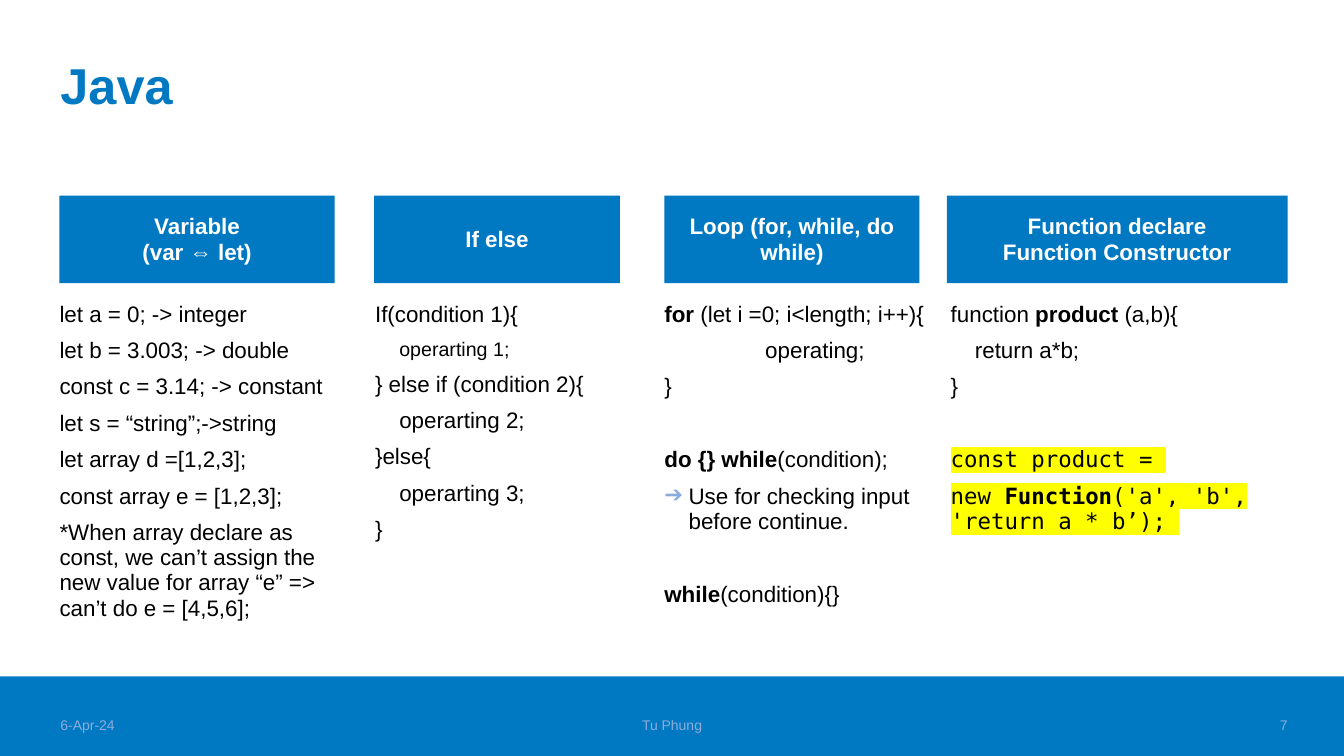
from dataclasses import dataclass

from lxml.etree import SubElement
from pptx import Presentation
from pptx.dml.color import RGBColor
from pptx.enum.shapes import MSO_SHAPE
from pptx.enum.text import MSO_ANCHOR, PP_ALIGN
from pptx.oxml.ns import qn
from pptx.shapes.autoshape import Shape
from pptx.slide import Slide
from pptx.util import Inches, Pt


@dataclass(frozen=True)
class Theme:
    blue: str = "0079C2"
    pale_blue: str = "8BADDC"
    white: str = "FFFFFF"
    black: str = "000000"
    yellow: str = "FFFF00"
    sans: str = "Arial"
    mono: str = "DejaVu Sans Mono"
    title_size: int = 36
    body_size: int = 16
    small_size: int = 14
    footer_size: int = 10


THEME = Theme()


@dataclass(frozen=True)
class Span:
    text: str
    bold: bool = False
    size: int = THEME.body_size
    color: str = THEME.black
    font: str = THEME.sans
    highlight: str = ""


@dataclass(frozen=True)
class Para:
    spans: tuple[Span, ...]
    indent: float = 0
    bullet: str = ""
    before: int = 8
    leading: int | None = 18
    align: PP_ALIGN = PP_ALIGN.LEFT


@dataclass(frozen=True)
class Area:
    left: float
    top: float
    width: float
    height: float


@dataclass(frozen=True)
class Column:
    heading: tuple[str, ...]
    heading_left: float
    heading_width: float
    body_left: float
    body_width: float
    paras: tuple[Para, ...]


@dataclass(frozen=True)
class FooterItem:
    text: str
    left: float
    width: float
    align: PP_ALIGN


BODY_INSETS = (0, 0, 0, 0.04)
HEADING_INSETS = (0.16, 0.12, 0.16, 0.12)
HANGING = 0.24
AFTER_GAP = 34


def line(text: str, indent: float = 0) -> Para:
    return Para((Span(text),), indent)


def code(text: str, bold: bool = False) -> Span:
    return Span(text, bold, font=THEME.mono, highlight=THEME.yellow)


COLUMNS = (
    Column(("Variable", "(var ⇔ let)"), 0.59, 2.73, 0.59, 2.72, (
        line("let a = 0; -> integer"),
        line("let b = 3.003; -> double"),
        line("const c = 3.14; -> constant"),
        line("let s = “string”;->string"),
        line("let array d =[1,2,3];"),
        line("const array e = [1,2,3];"),
        line("*When array declare as const, we can’t assign the new value "
             "for array “e” => can’t do e = [4,5,6];"),
    )),
    Column(("If else",), 3.71, 2.44, 3.72, 2.42, (
        line("If(condition 1){"),
        Para((Span("operarting 1;", size=THEME.small_size),), HANGING, leading=16),
        line("} else if (condition 2){"),
        line("operarting 2;", HANGING),
        line("}else{"),
        line("operarting 3;", HANGING),
        line("}"),
    )),
    Column(("Loop (for, while, do while)",), 6.59, 2.53, 6.59, 2.6, (
        Para((Span("for", True), Span(" (let i =0; i<length; i++){"))),
        line("operating;", 1),
        line("}"),
        Para((Span("do {} while", True), Span("(condition);")), before=AFTER_GAP),
        Para((Span("Use for checking input before continue."),), HANGING, "➔"),
        Para((Span("while", True), Span("(condition){}")), before=AFTER_GAP),
    )),
    Column(("Function declare", "Function Constructor"), 9.39, 3.38, 9.43, 3.34, (
        Para((Span("function "), Span("product", True), Span(" (a,b){"))),
        line("return a*b;", HANGING),
        line("}"),
        Para((code("const product = "),), before=AFTER_GAP),
        Para((code("new "), code("Function", True),
              code("('a', 'b', 'return a * b’); "))),
    )),
)

FOOTER = (
    FooterItem("6-Apr-24", 0.6, 2.04, PP_ALIGN.LEFT),
    FooterItem("Tu Phung", 2.64, 8.05, PP_ALIGN.CENTER),
    FooterItem("7", 9.39, 3.38, PP_ALIGN.RIGHT),
)


def write(box: Shape, paras: tuple[Para, ...], insets: tuple[float, ...],
          anchor: MSO_ANCHOR = MSO_ANCHOR.TOP) -> None:
    frame = box.text_frame
    frame.word_wrap = True
    frame.vertical_anchor = anchor
    frame.margin_left, frame.margin_top, frame.margin_right, frame.margin_bottom = map(
        Inches, insets)
    for index, para in enumerate(paras):
        paragraph = frame.add_paragraph() if index else frame.paragraphs[0]
        paragraph.alignment = para.align
        paragraph.space_before = Pt(para.before)
        if para.leading:
            paragraph.line_spacing = Pt(para.leading)
        properties = paragraph._p.get_or_add_pPr()
        properties.set("marL", str(Inches(para.indent)))
        properties.set("indent", str(-Inches(para.indent) if para.bullet else 0))
        if para.bullet:
            bullet_color = SubElement(properties, qn("a:buClr"))
            SubElement(bullet_color, qn("a:srgbClr"), val=THEME.pale_blue)
            SubElement(properties, qn("a:buFont"), typeface=THEME.sans)
            SubElement(properties, qn("a:buChar"), char=para.bullet)
        for span in para.spans:
            run = paragraph.add_run()
            run.text = span.text
            run.font.size = Pt(span.size)
            run.font.bold = span.bold
            run.font.color.rgb = RGBColor.from_string(span.color)
            if span.highlight:
                marker = SubElement(run.font._element, qn("a:highlight"))
                SubElement(marker, qn("a:srgbClr"), val=span.highlight)
            run.font.name = span.font


def add_band(slide: Slide, area: Area) -> Shape:
    band = slide.shapes.add_shape(
        MSO_SHAPE.RECTANGLE, *map(Inches, (area.left, area.top, area.width, area.height)))
    band.shadow.inherit = False
    band.fill.solid()
    band.fill.fore_color.rgb = RGBColor.from_string(THEME.blue)
    band.line.fill.background()
    return band


def add_text(slide: Slide, area: Area) -> Shape:
    return slide.shapes.add_textbox(
        *map(Inches, (area.left, area.top, area.width, area.height)))


def add_column(slide: Slide, column: Column) -> None:
    heading = add_band(slide, Area(column.heading_left, 1.94, column.heading_width, 0.87))
    titles = tuple(Para((Span(text, True, color=THEME.white),), before=0,
                        align=PP_ALIGN.CENTER) for text in column.heading)
    write(heading, titles, HEADING_INSETS, MSO_ANCHOR.MIDDLE)
    body = add_text(slide, Area(column.body_left, 2.99, column.body_width, 3.48))
    write(body, column.paras, BODY_INSETS)


def add_footer_item(slide: Slide, item: FooterItem) -> None:
    span = Span(item.text, size=THEME.footer_size, color=THEME.pale_blue)
    para = Para((span,), before=0, leading=None, align=item.align)
    box = add_text(slide, Area(item.left, 6.88, item.width, 0.4))
    write(box, (para,), (0, 0, 0, 0), MSO_ANCHOR.BOTTOM)


def main() -> None:
    deck = Presentation()
    deck.slide_width, deck.slide_height = Inches(13.33), Inches(7.5)
    page = deck.slides.add_slide(deck.slide_layouts[6])
    add_band(page, Area(0, 6.71, 13.33, 0.79))
    title = Span("Java", True, THEME.title_size, THEME.blue)
    write(add_text(page, Area(0.6, 0.6, 12.17, 1.34)),
          (Para((title,), before=0, leading=39),), BODY_INSETS)
    for column in COLUMNS:
        add_column(page, column)
    for item in FOOTER:
        add_footer_item(page, item)
    deck.save("out.pptx")


if __name__ == "__main__":
    main()
